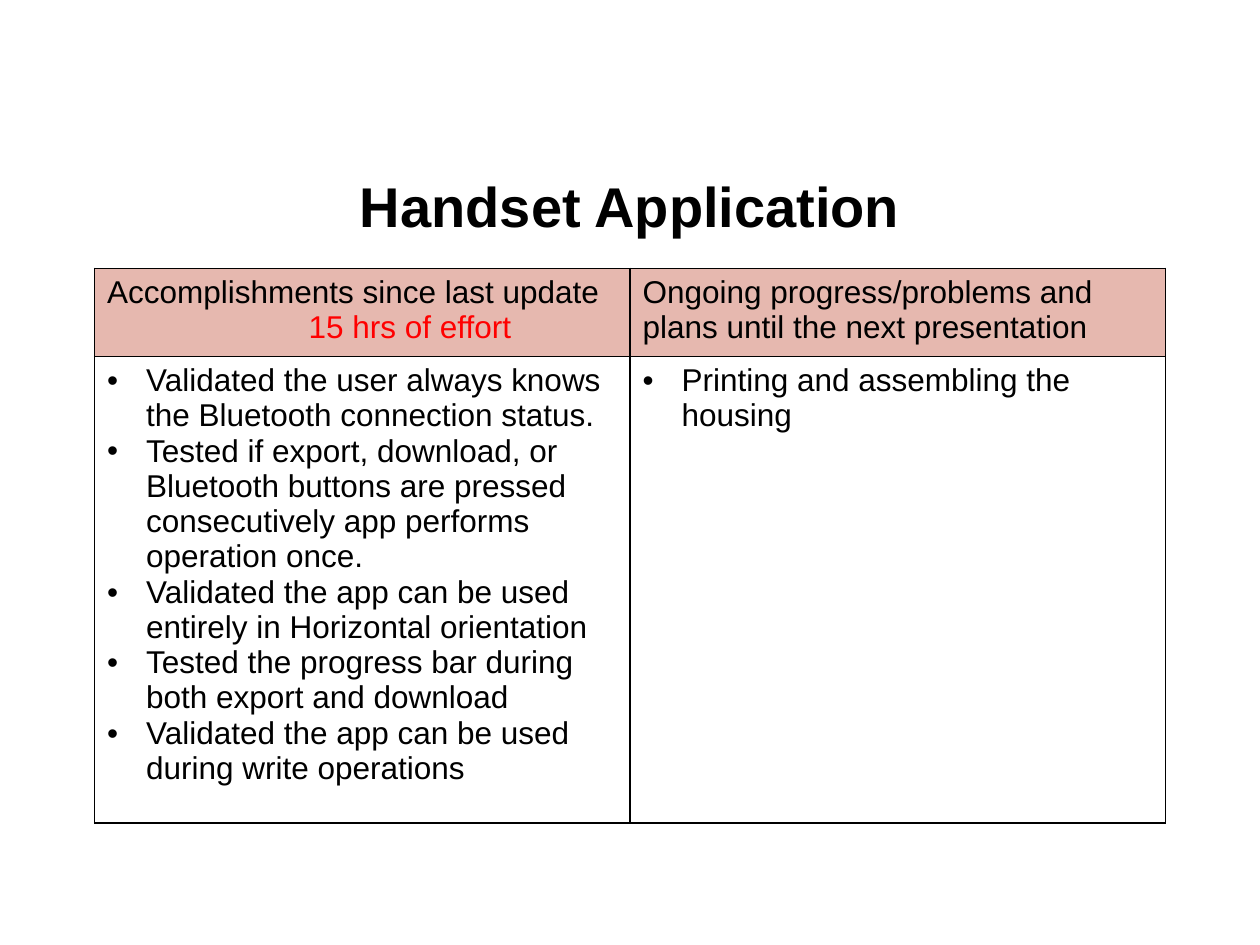
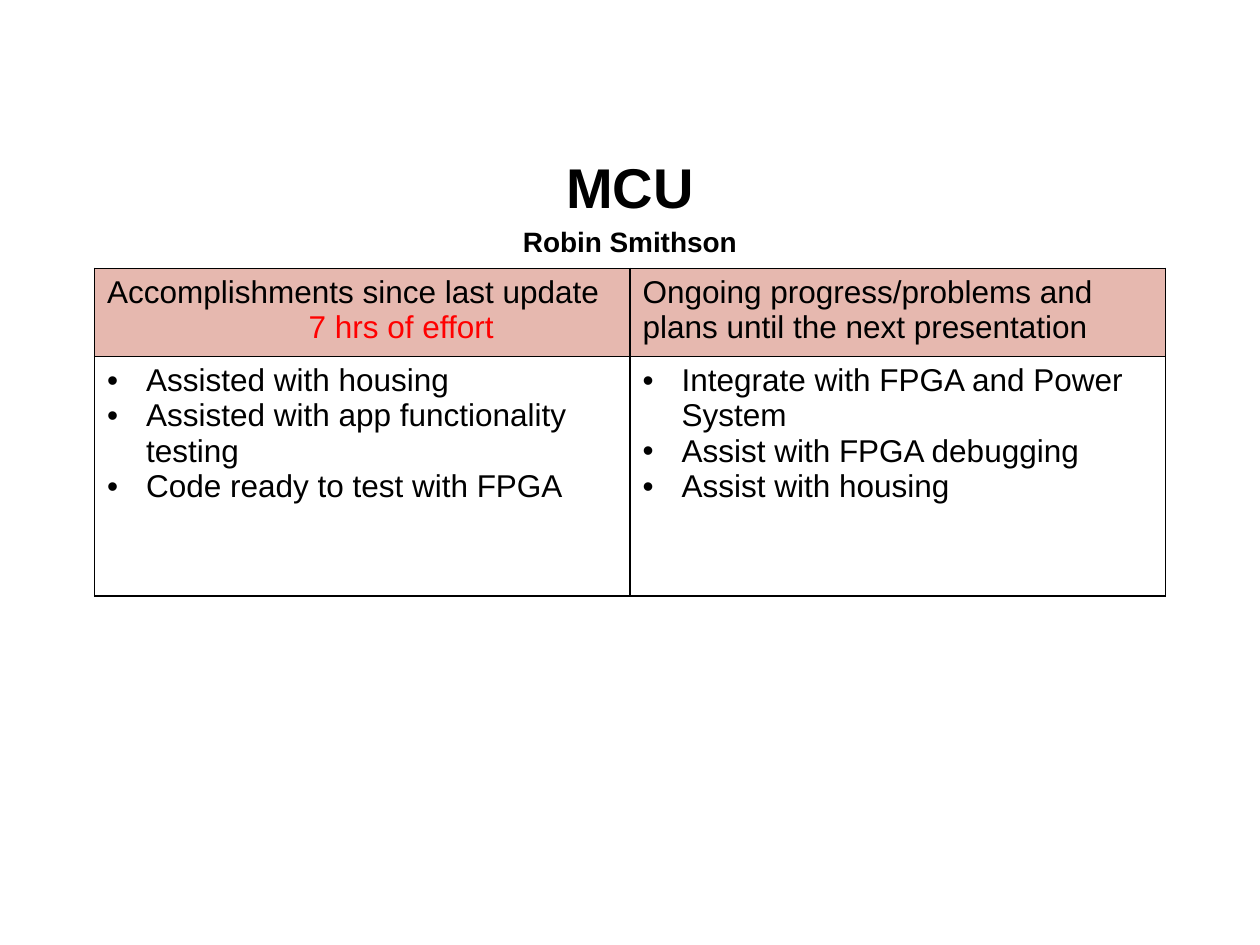
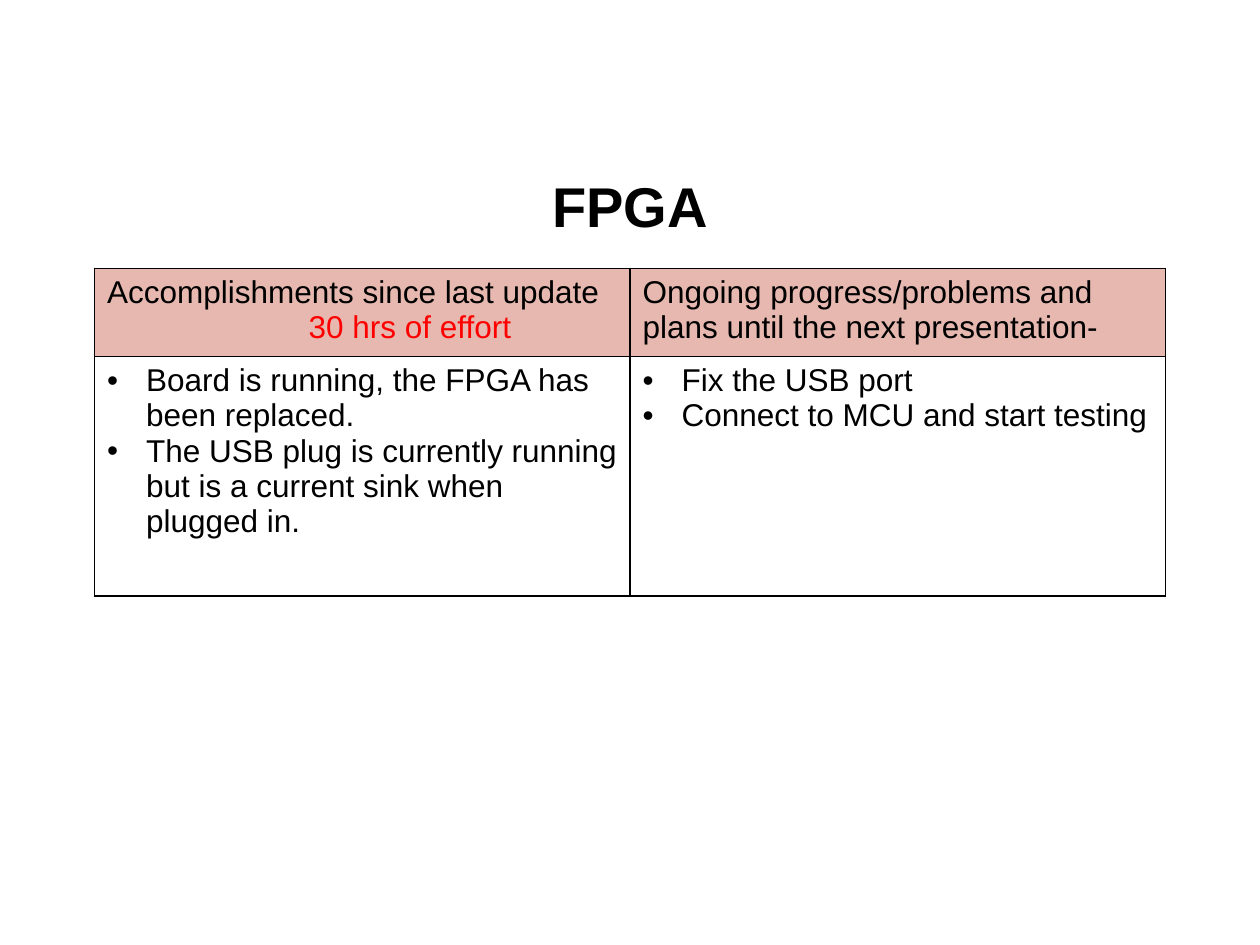
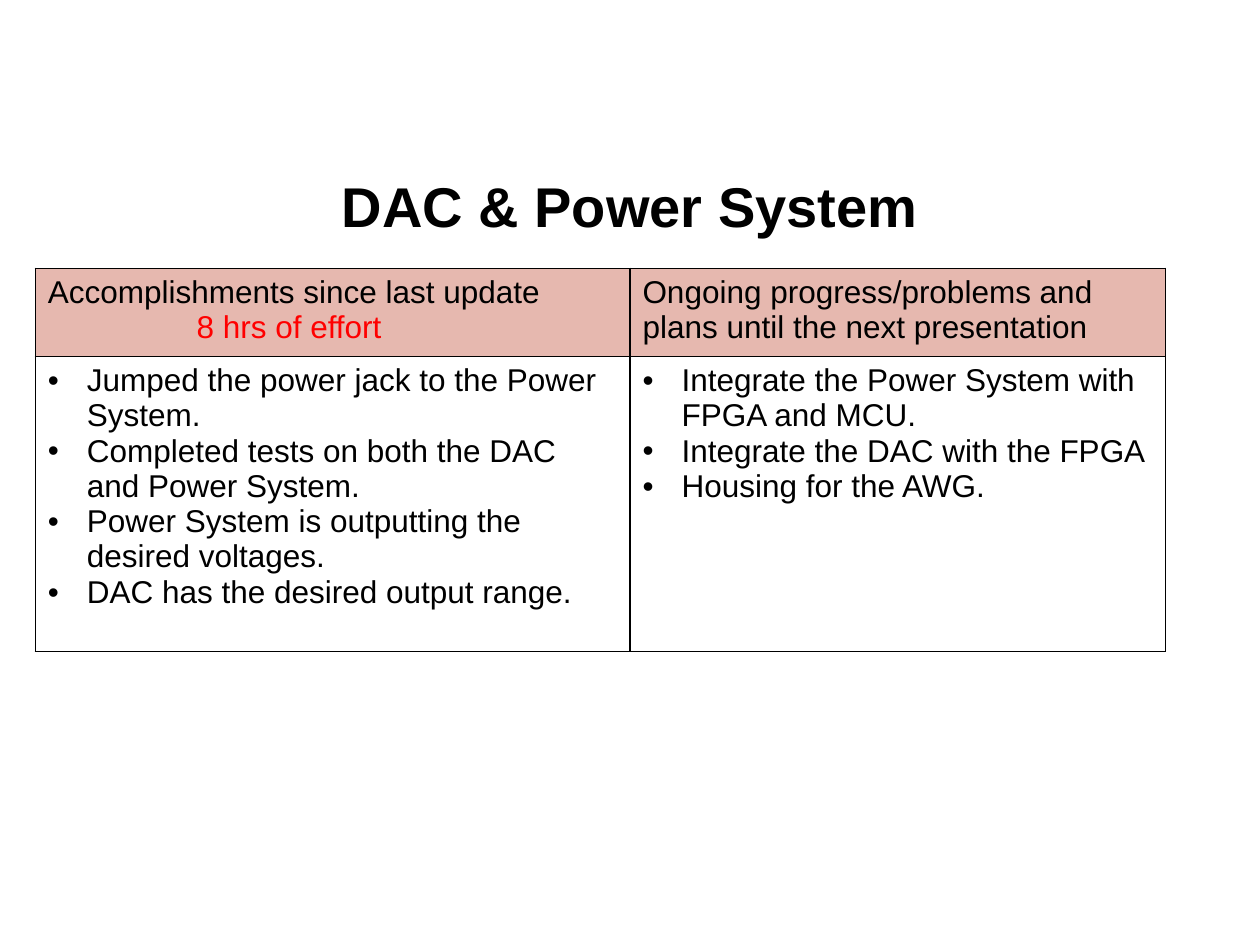
from dataclasses import dataclass

import lxml.etree
import pptx
import pptx.dml.color
import pptx.enum.text
import pptx.oxml.ns
import pptx.slide
import pptx.table
import pptx.text.text
import pptx.util

PX = 9144
FONT = "Arial"
BLACK = pptx.dml.color.RGBColor(0x00, 0x00, 0x00)
RED = pptx.dml.color.RGBColor(0xFF, 0x00, 0x00)
PINK = pptx.dml.color.RGBColor(0xE6, 0xB8, 0xAF)

TABLE_TOP = 213
TABLE_RIGHT = 925
PLANS_W = 425
HEADER_H = 70
BULLET_INDENT = 31
DONE_HEADER = "Accomplishments since last update"
PLANS_HEADER = "Ongoing progress/problems and plans until the next presentation"


@dataclass(frozen=True)
class Update:
    title: str
    effort: str
    done: list[str]
    plans: list[str]
    subtitle: str = ""
    plans_header: str = PLANS_HEADER
    done_w: int = 425
    body_h: int = 190
    effort_indent: int = 160


UPDATES = [
    Update(
        title="Handset Application",
        effort="15 hrs of effort",
        done=[
            "Validated the user always knows the Bluetooth connection status.",
            "Tested if export, download, or Bluetooth buttons are pressed "
            "consecutively app performs operation once.",
            "Validated the app can be used entirely in Horizontal orientation",
            "Tested the progress bar during both export and download",
            "Validated the app can be used during write operations",
        ],
        plans=["Printing and assembling the housing"],
        body_h=346,
    ),
    Update(
        title="MCU",
        subtitle="Robin Smithson",
        effort="7 hrs of effort",
        done=[
            "Assisted with housing",
            "Assisted with app functionality testing",
            "Code ready to test with FPGA",
        ],
        plans=[
            "Integrate with FPGA and Power System",
            "Assist with FPGA debugging",
            "Assist with housing",
        ],
    ),
    Update(
        title="FPGA",
        effort="30 hrs of effort",
        done=[
            "Board is running, the FPGA has been replaced.",
            "The USB plug is currently running but is a current sink when plugged in.",
        ],
        plans=["Fix the USB port", "Connect to MCU and start testing"],
        plans_header=PLANS_HEADER + "-",
    ),
    Update(
        title="DAC & Power System",
        effort="8 hrs of effort",
        done=[
            "Jumped the power jack to the Power System.",
            "Completed tests on both the DAC and Power System.",
            "Power System is outputting the desired voltages.",
            "DAC has the desired output range.",
        ],
        plans=[
            "Integrate the Power System with FPGA and MCU.",
            "Integrate the DAC with the FPGA",
            "Housing for the AWG.",
        ],
        done_w=472,
        body_h=234,
        effort_indent=118,
    ),
]


def px(n: int) -> pptx.util.Emu:
    return pptx.util.Emu(n * PX)


def add_run(
    p: pptx.text.text._Paragraph,
    text: str,
    size: int = 18,
    color: pptx.dml.color.RGBColor = BLACK,
    bold: bool = False,
) -> None:
    r = p.add_run()
    r.text = text
    r.font.name = FONT
    r.font.size = pptx.util.Pt(size)
    r.font.bold = bold
    r.font.color.rgb = color


def set_indent(p: pptx.text.text._Paragraph, left: int, first: int = 0) -> None:
    pPr = p._p.get_or_add_pPr()
    pPr.set("marL", str(px(left)))
    pPr.set("indent", str(px(first)))


def add_bullets(tf: pptx.text.text.TextFrame, items: list[str]) -> None:
    for i, item in enumerate(items):
        p = tf.add_paragraph() if i else tf.paragraphs[0]
        set_indent(p, BULLET_INDENT, -BULLET_INDENT)
        pPr = p._p.get_or_add_pPr()
        qn = pptx.oxml.ns.qn
        lxml.etree.SubElement(pPr, qn("a:buFont"), typeface=FONT)
        lxml.etree.SubElement(pPr, qn("a:buChar"), char="•")
        add_run(p, item)


def set_borders(cell: pptx.table._Cell) -> None:
    qn = pptx.oxml.ns.qn
    tcPr = cell._tc.get_or_add_tcPr()
    for i, side in enumerate(("lnL", "lnR", "lnT", "lnB")):
        ln = lxml.etree.Element(qn(f"a:{side}"), w=str(pptx.util.Pt(1)))
        fill = lxml.etree.SubElement(ln, qn("a:solidFill"))
        lxml.etree.SubElement(fill, qn("a:srgbClr"), val=str(BLACK))
        tcPr.insert(i, ln)


def add_title(slide: pptx.slide.Slide, update: Update) -> None:
    sp = slide.shapes.add_textbox(px(50), px(115), px(900), px(88))
    tf = sp.text_frame
    tf.word_wrap = True
    tf.vertical_anchor = pptx.enum.text.MSO_ANCHOR.MIDDLE
    p = tf.paragraphs[0]
    p.alignment = pptx.enum.text.PP_ALIGN.CENTER
    p.line_spacing = 1.15
    add_run(p, update.title, 32, bold=True)
    if update.subtitle:
        p.add_line_break()
        add_run(p, update.subtitle, 16, bold=True)


def add_update_table(slide: pptx.slide.Slide, update: Update) -> None:
    width = update.done_w + PLANS_W
    table = slide.shapes.add_table(
        2, 2, px(TABLE_RIGHT - width), px(TABLE_TOP),
        px(width), px(HEADER_H + update.body_h),
    ).table
    table.first_row = False
    table.horz_banding = False
    for column, w in zip(table.columns, (update.done_w, PLANS_W)):
        column.width = px(w)
    for row, h in zip(table.rows, (HEADER_H, update.body_h)):
        row.height = px(h)

    for cell in table.rows[0].cells:
        cell.fill.solid()
        cell.fill.fore_color.rgb = PINK
    for cell in table.rows[1].cells:
        cell.fill.background()
    for cell in table.iter_cells():
        set_borders(cell)

    tf = table.cell(0, 0).text_frame
    add_run(tf.paragraphs[0], DONE_HEADER)
    p = tf.add_paragraph()
    set_indent(p, update.effort_indent)
    add_run(p, update.effort, color=RED)
    add_run(table.cell(0, 1).text_frame.paragraphs[0], update.plans_header)
    add_bullets(table.cell(1, 0).text_frame, update.done)
    add_bullets(table.cell(1, 1).text_frame, update.plans)


def main() -> None:
    prs = pptx.Presentation()
    prs.slide_width = px(1000)
    prs.slide_height = px(750)
    for update in UPDATES:
        slide = prs.slides.add_slide(prs.slide_layouts[6])
        add_title(slide, update)
        add_update_table(slide, update)
    prs.save("out.pptx")


if __name__ == "__main__":
    main()
